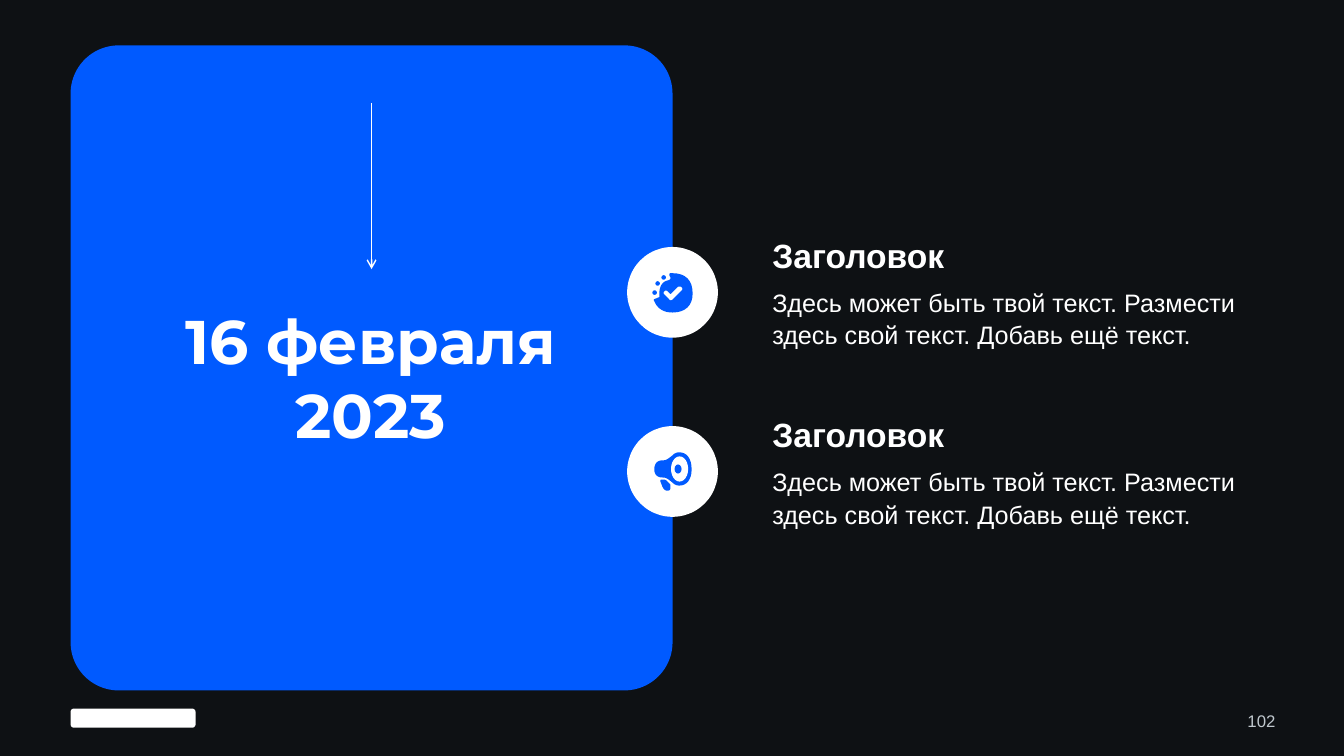
import pptx
import pptx.util
import pptx.dml.color
import pptx.enum.shapes
import pptx.enum.text
import pptx.oxml.ns
import lxml.etree

theme = {
    "background": "0E1114", "accent": "005AFF", "light": "FFFFFF", "muted": "C0C8CE",
    "body_font": "Arial", "date_font": "Montserrat",
    "date": 44, "heading": 24, "body": 18, "number": 12,
}
presentation = pptx.Presentation()
presentation.slide_width = pptx.util.Inches(13.33)
presentation.slide_height = pptx.util.Inches(7.5)
column = presentation.slide_width / 100
row = presentation.slide_height / 100
slide = presentation.slides.add_slide(presentation.slide_layouts[6])
slide.background.fill.solid()
slide.background.fill.fore_color.rgb = pptx.dml.color.RGBColor.from_string(theme["background"])
preset = pptx.enum.shapes.MSO_SHAPE
align = pptx.enum.text.PP_ALIGN


def paint(shape, colour):
    shape.shadow.inherit = False
    shape.fill.solid()
    shape.fill.fore_color.rgb = pptx.dml.color.RGBColor.from_string(theme[colour])
    shape.line.fill.background()


def write(left, top, width, height, lines, size, colour="light", font="body_font",
          bold=False, alignment=align.LEFT, spacing=1.0):
    box = slide.shapes.add_textbox(
        int(left * column), int(top * row), int(width * column), int(height * row))
    frame = box.text_frame
    frame.word_wrap = True
    frame.margin_left = frame.margin_right = frame.margin_top = frame.margin_bottom = 0
    for index, line in enumerate(lines):
        paragraph = frame.add_paragraph() if index else frame.paragraphs[0]
        paragraph.alignment = alignment
        paragraph.line_spacing = spacing
        run = paragraph.add_run()
        run.text = line
        run.font.name = theme[font]
        run.font.size = pptx.util.Pt(theme[size])
        run.font.bold = bold
        run.font.color.rgb = pptx.dml.color.RGBColor.from_string(theme[colour])
    return frame


margin = 5.25
panel_width = 44.79
panel_top = 6
wordmark = slide.shapes.add_shape(
    preset.ROUNDED_RECTANGLE, int(margin * column), int(93.73 * row),
    int(9.3 * column), int(2.53 * row))
paint(wordmark, "light")

panel = slide.shapes.add_shape(
    preset.ROUNDED_RECTANGLE, int(margin * column), int(panel_top * row),
    int(panel_width * column), int(85.33 * row))
panel.adjustments[0] = 0.08
paint(panel, "accent")

page_number = write(87.47, 93.73, 7.43, 3.2, ["102"], "number", "muted", alignment=align.RIGHT)
page_number.vertical_anchor = pptx.enum.text.MSO_ANCHOR.MIDDLE

badge = [
    ("accent", "M 45 26 C 58 26 65 33 65 46 C 65 58 58 65 45 65 C 36 65 30 61 27 54 "
               "C 26 52 26 52 29 51 L 31 50 C 32 50 32 50 32 48 C 32 47 32 46 32 46 "
               "C 32 39 35 34 41 33 C 43 32 43 32 43 30 C 42 29 42 28 42 28 "
               "C 42 26 42 26 44 26 L 45 26"),
    ("light", "M 50 40 L 43 47 L 40 44 C 39 43 38 43 37 44 C 36 45 36 46 37 47 L 42 52 "
              "C 42 53 44 53 45 52 L 54 43 C 55 42 55 41 54 40 C 53 39 51 39 50 40"),
    ("accent", (25, 43, 4.5, 4.5)),
    ("accent", (28, 34, 4.5, 4.5)),
    ("accent", (34, 28, 4.5, 4.5)),
]
megaphone = [
    ("accent", "M 35 53 C 37 53 38 53 39 54 C 40 55 41 56 42 57 C 43 58 43 58 43 60 "
               "C 43 62 43 64 40 64 C 37 64 36 62 35 60 L 33 55 C 33 54 32 53 35 53"),
    ("accent", "M 52 26 C 59 26 64 32 64 43 C 64 53 59 59 52 59 C 49 59 47 58 45 56 "
               "C 40 52 39 51 35 51 C 31 51 27 49 27 43 C 27 36 31 34 35 34 "
               "C 39 34 40 33 45 29 C 47 27 49 26 52 26"),
    ("light", (43.5, 30, 17, 25)),
    ("accent", (47, 38, 7, 9)),
]
body = "Здесь может быть твой текст. Размести здесь свой текст. Добавь ещё текст."
circle_size = 12 * row
unit = circle_size / 90
circle_left = (margin + panel_width) * column - circle_size / 2
curve_steps = 8

for index, icon in enumerate([badge, megaphone]):
    shift = index * 23.7
    write(57.46, 30.67 + shift, 37.43, 5.33, ["Заголовок"], "heading", bold=True, spacing=1.07)
    write(57.46, 37.73 + shift, 37.43, 8.13, [body], "body", spacing=1.07)
    circle_top = (32.67 + shift) * row
    circle = slide.shapes.add_shape(
        preset.OVAL, int(circle_left), int(circle_top), int(circle_size), int(circle_size))
    paint(circle, "light")
    for colour, outline in icon:
        if isinstance(outline, tuple):
            left, top, width, height = outline
            shape = slide.shapes.add_shape(
                preset.OVAL, int(circle_left + left * unit), int(circle_top + top * unit),
                int(width * unit), int(height * unit))
        else:
            points = []
            for segment in outline.replace("C", "|").replace("L", "|").replace("M", "").split("|"):
                numbers = [float(value) for value in segment.split()]
                ends = list(zip(numbers[::2], numbers[1::2]))
                if len(ends) == 1:
                    points.append(ends[0])
                    continue
                corners = [points[-1]] + ends
                for step in range(1, curve_steps + 1):
                    t = step / curve_steps
                    weights = [(1 - t) ** 3, 3 * t * (1 - t) ** 2, 3 * t * t * (1 - t), t ** 3]
                    points.append(tuple(
                        sum(weight * corner[axis] for weight, corner in zip(weights, corners))
                        for axis in (0, 1)))
            points = [(int(circle_left + x * unit), int(circle_top + y * unit)) for x, y in points]
            builder = slide.shapes.build_freeform(*points[0])
            builder.add_line_segments(points[1:], close=True)
            shape = builder.convert_to_shape()
        paint(shape, colour)

write(9.83, 40.13, 35.56, 19.73, ["16 февраля", "2023"], "date",
      font="date_font", bold=True, alignment=align.CENTER)

arrow_column = int((margin + panel_width / 2) * column)
arrow = slide.shapes.add_connector(
    pptx.enum.shapes.MSO_CONNECTOR.STRAIGHT,
    arrow_column, int(13.6 * row), arrow_column, int(35.6 * row))
arrow.line.width = pptx.util.Pt(1)
arrow.line.color.rgb = pptx.dml.color.RGBColor.from_string(theme["light"])
properties = arrow.element.spPr
lxml.etree.SubElement(
    properties.find(pptx.oxml.ns.qn("a:ln")), pptx.oxml.ns.qn("a:tailEnd"), type="arrow")
lxml.etree.SubElement(properties, pptx.oxml.ns.qn("a:effectLst"))

presentation.save("out.pptx")
